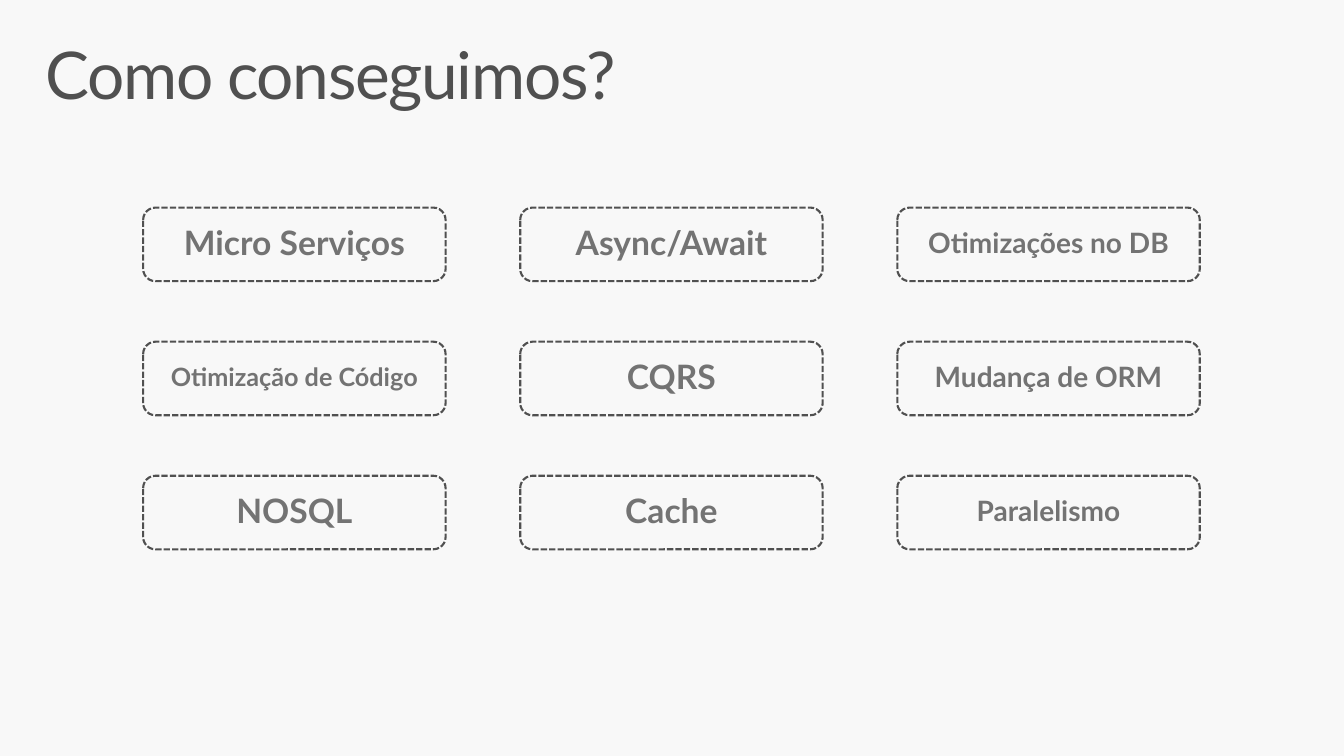
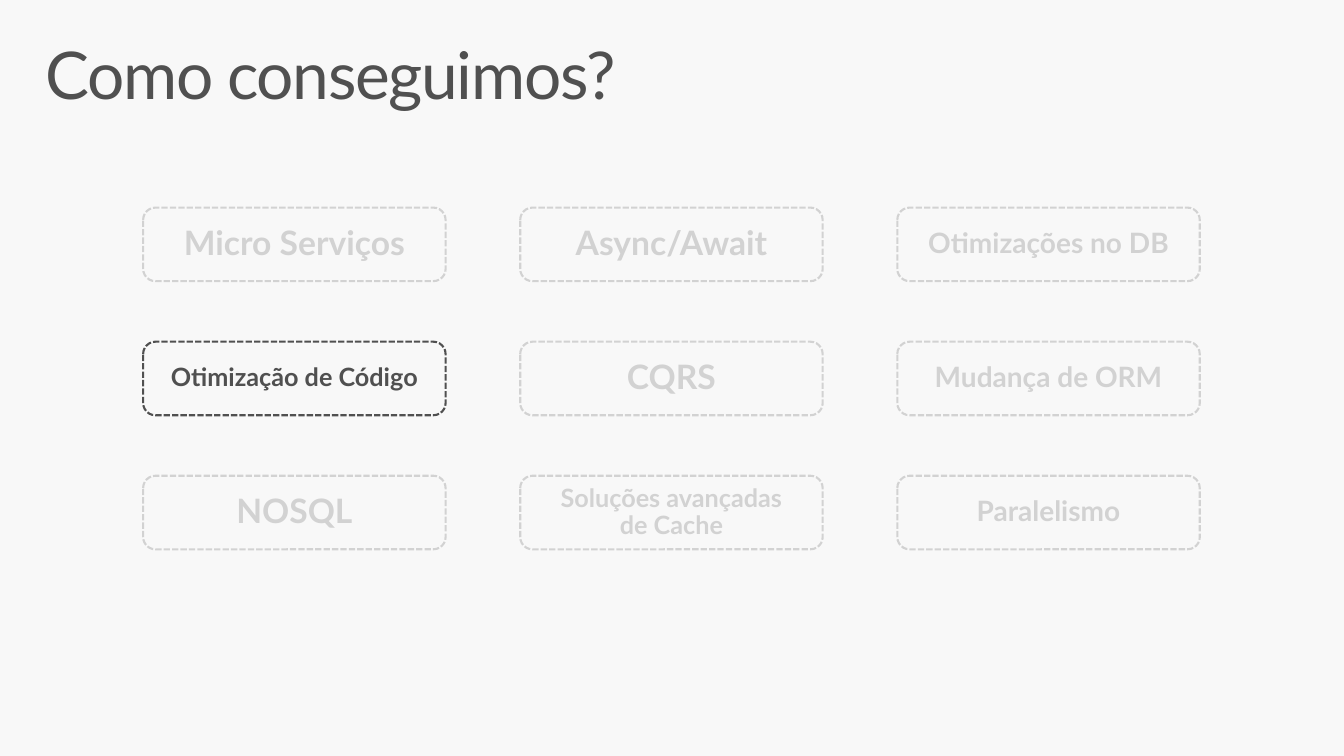
from dataclasses import dataclass

from pptx import Presentation
from pptx import util as u
from pptx.dml import color as rgb
from pptx.enum import dml, shapes, text

COLORS = {
    "background": "F8F8F8",
    "dark": "505050",
    "medium": "737373",
    "faded": "D2D2D2",
}
FONT = "Lato"
TITLE = "Como conseguimos?"
TITLE_ONLY = 5

# Grid of topic boxes, in inches
COLUMNS = 3
GRID_LEFT, GRID_TOP = 1.42, 2.06
COLUMN_STEP, ROW_STEP = 3.74, 1.33
BOX_WIDTH, BOX_HEIGHT = 3, 0.73


@dataclass(frozen=True)
class Topic:
    label: str
    size: int = 24


@dataclass(frozen=True)
class BoxStyle:
    line: str
    label: str


NORMAL = BoxStyle(line="dark", label="medium")
FADED = BoxStyle(line="faded", label="faded")
ACTIVE = BoxStyle(line="dark", label="dark")

CACHE = Topic("Cache")
ADVANCED_CACHE = Topic("Soluções avançadas de Cache", 18)
CODE = Topic("Otimização de Código", 18)
TOPICS = [
    Topic("Micro Serviços"), Topic("Async/Await"), Topic("Otimizações no DB", 20),
    CODE, Topic("CQRS"), Topic("Mudança de ORM", 20),
    Topic("NOSQL"), CACHE, Topic("Paralelismo", 20),
]
DETAILED_TOPICS = [ADVANCED_CACHE if topic is CACHE else topic for topic in TOPICS]


def color(name: str) -> rgb.RGBColor:
    return rgb.RGBColor.from_string(COLORS[name])


def set_all(target, values: dict) -> None:
    for name, value in values.items():
        setattr(target, name, value)


def write(shape, content: str, size: int, color_name: str, bold: bool,
          align, anchor, inset_x: float, inset_y: float):
    """Fill a shape with one formatted line of text and return its span."""
    frame = shape.text_frame
    set_all(frame, {
        "word_wrap": True,
        "auto_size": text.MSO_AUTO_SIZE.NONE,
        "vertical_anchor": anchor,
        "margin_left": u.Inches(inset_x),
        "margin_right": u.Inches(inset_x),
        "margin_top": u.Inches(inset_y),
        "margin_bottom": u.Inches(inset_y),
    })
    para = frame.paragraphs[0]
    set_all(para, {"alignment": align, "line_spacing": 0.9})
    span = para.add_run()
    span.text = content
    set_all(span.font, {"name": FONT, "size": u.Pt(size), "bold": bold})
    span.font.color.rgb = color(color_name)
    return span


def add_title(page) -> None:
    title = page.shapes.title
    set_all(title, {
        "left": u.Inches(0.29),
        "top": u.Inches(0.32),
        "width": u.Inches(12.75),
        "height": u.Inches(0.98),
    })
    span = write(title, TITLE, 47, "dark", False, text.PP_ALIGN.LEFT,
                 text.MSO_ANCHOR.TOP, 0.16, 0.1)
    # Letter spacing, in hundredths of a point
    span.font._element.set("spc", "-100")


def add_box(page, topic: Topic, style: BoxStyle, row: int, column: int) -> None:
    box = page.shapes.add_shape(
        shapes.MSO_SHAPE.ROUNDED_RECTANGLE,
        u.Inches(GRID_LEFT + column * COLUMN_STEP),
        u.Inches(GRID_TOP + row * ROW_STEP),
        u.Inches(BOX_WIDTH),
        u.Inches(BOX_HEIGHT),
    )
    box.shadow.inherit = False
    box.fill.background()
    box.line.color.rgb = color(style.line)
    set_all(box.line, {
        "width": u.Pt(1.5),
        "dash_style": dml.MSO_LINE.SQUARE_DOT,
    })
    write(box, topic.label, topic.size, style.label, True,
          text.PP_ALIGN.CENTER, text.MSO_ANCHOR.MIDDLE, 0.2, 0.16)


def add_topics_page(deck, topics: list[Topic], active: Topic | None = None) -> None:
    """Show every topic; when one is active, fade the others."""
    page = deck.slides.add_slide(deck.slide_layouts[TITLE_ONLY])
    add_title(page)
    for index, topic in enumerate(topics):
        if active is None:
            style = NORMAL
        else:
            style = ACTIVE if topic == active else FADED
        row, column = divmod(index, COLUMNS)
        add_box(page, topic, style, row, column)


def main() -> None:
    deck = Presentation()
    set_all(deck, {"slide_width": u.Inches(13.33), "slide_height": u.Inches(7.5)})

    # Shared background
    backdrop = deck.slide_master.background.fill
    backdrop.solid()
    backdrop.fore_color.rgb = color("background")

    # Overview, then focus on code optimisation
    add_topics_page(deck, TOPICS)
    add_topics_page(deck, DETAILED_TOPICS, active=CODE)
    deck.save("out.pptx")


if __name__ == "__main__":
    main()
